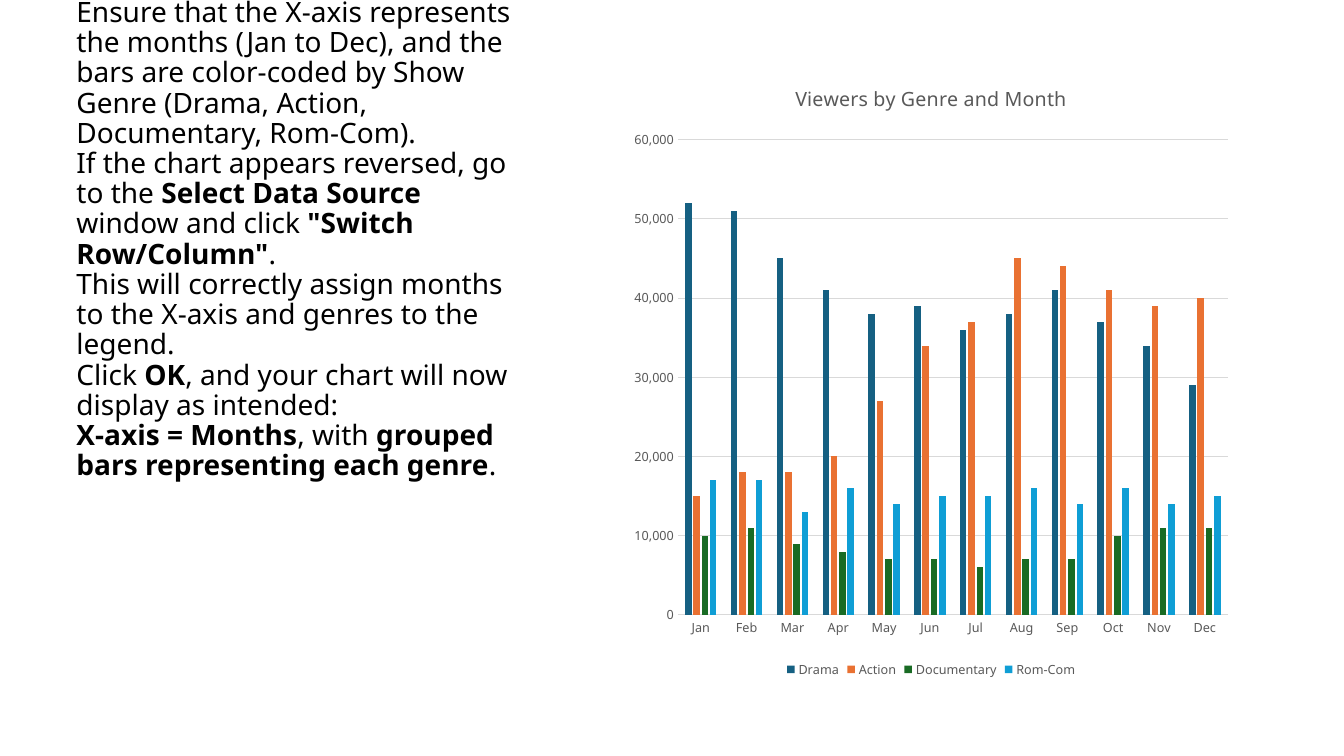
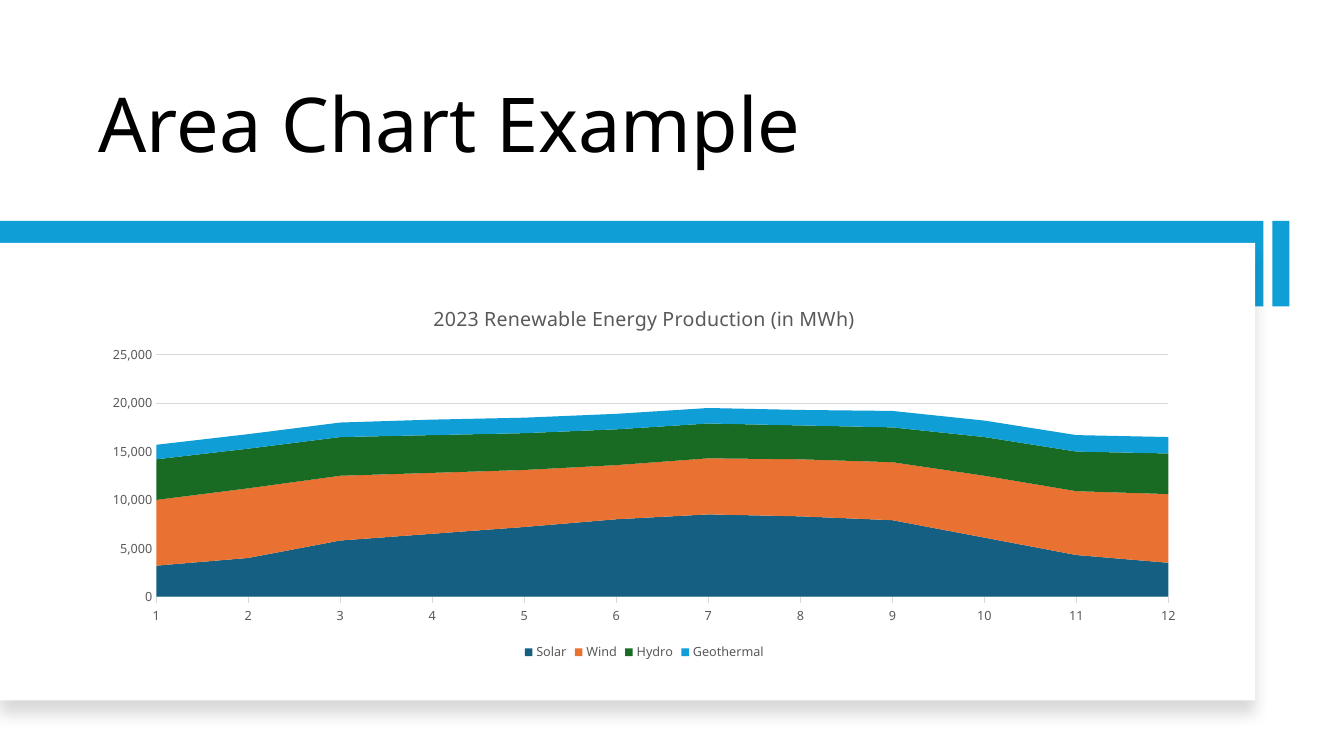
"""Build two slides that show a column chart and a stacked area chart."""
from dataclasses import dataclass

from lxml import etree
from pptx import Presentation
from pptx.chart.data import CategoryChartData
from pptx.dml.color import RGBColor
from pptx.enum.chart import XL_CHART_TYPE, XL_LEGEND_POSITION, XL_TICK_MARK
from pptx.enum.shapes import MSO_SHAPE
from pptx.enum.text import MSO_ANCHOR
from pptx.oxml.ns import qn
from pptx.util import Pt

COLUMN = XL_CHART_TYPE.COLUMN_CLUSTERED
AREA = XL_CHART_TYPE.AREA_STACKED
BELOW = XL_LEGEND_POSITION.BOTTOM
NO_TICK, OUT_TICK = XL_TICK_MARK.NONE, XL_TICK_MARK.OUTSIDE
RECT = MSO_SHAPE.RECTANGLE
BOTTOM = MSO_ANCHOR.BOTTOM
SCALE = 9144


@dataclass(frozen=True)
class Theme:
    font: str = "Noto Sans"
    ink: str = "000000"
    paper: str = "FFFFFF"
    muted: str = "595959"
    rule: str = "D9D9D9"
    accent: str = "0F9ED5"
    fills: tuple = ("156082", "E97132", "196B24", "0F9ED5")
    head: int = 54
    body: int = 20
    title: int = 14
    base: int = 10
    label: int = 9
    hair: float = 0.75


def px(*sizes):
    return [size * SCALE for size in sizes]


class Deck:
    def __init__(self, theme):
        self.theme = theme
        self.show = Presentation()
        self.show.slide_width, self.show.slide_height = px(1333, 750)
        self.slide = None

    def page(self):
        self.slide = self.show.slides.add_slide(self.show.slide_layouts[6])
        self.slide.background.fill.solid()
        self.slide.background.fill.fore_color.rgb = RGBColor.from_string(self.theme.paper)

    def style(self, font, size, color, bold=False):
        font.name, font.size, font.bold = self.theme.font, Pt(size), bold
        font.color.rgb = RGBColor.from_string(color)

    def text(self, box, size, lines):
        frame = self.slide.shapes.add_textbox(*px(*box)).text_frame
        frame.word_wrap = True
        frame.vertical_anchor = BOTTOM
        para = frame.paragraphs[0]
        para.line_spacing = 0.9
        for row, line in enumerate(lines):
            if row:
                para.add_line_break()
            for words, bold in line:
                run = para.add_run()
                run.text = words
                self.style(run.font, size, self.theme.ink, bold)

    def rect(self, box, color, shade=False):
        shape = self.slide.shapes.add_shape(RECT, *px(*box))
        shape.shadow.inherit = False
        shape.fill.solid()
        shape.fill.fore_color.rgb = RGBColor.from_string(color)
        shape.line.fill.background()
        if shade:
            glow = etree.SubElement(
                shape.element.spPr.find(qn("a:effectLst")), qn("a:outerShdw"),
                blurRad=str(Pt(11)), dist=str(Pt(10)), dir="5400000",
                algn="t", rotWithShape="0")
            tone = etree.SubElement(glow, qn("a:srgbClr"), val=self.theme.ink)
            etree.SubElement(tone, qn("a:alpha"), val="15000")

    def rule(self, line):
        line.width = Pt(self.theme.hair)
        line.color.rgb = RGBColor.from_string(self.theme.rule)

    def chart(self, kind, box, title, cats, rows, top, step, tick=NO_TICK):
        theme = self.theme
        data = CategoryChartData(number_format="#,##0")
        data.categories = cats
        for name, vals in rows.items():
            data.add_series(name, vals)
        chart = self.slide.shapes.add_chart(kind, *px(*box), data).chart
        self.style(chart.font, theme.base, theme.ink)

        chart.has_title = True
        run = chart.chart_title.text_frame.paragraphs[0].add_run()
        run.text = title
        self.style(run.font, theme.title, theme.muted)
        chart.chart_title.include_text_frame = True
        chart.has_legend = True
        chart.legend.position = BELOW
        chart.legend.include_in_layout = False
        self.style(chart.legend.font, theme.label, theme.muted)

        months, scale = chart.category_axis, chart.value_axis
        for axis in (months, scale):
            axis.minor_tick_mark = NO_TICK
            self.style(axis.tick_labels.font, theme.label, theme.muted)
        months.has_major_gridlines = False
        months.major_tick_mark = tick
        self.rule(months.format.line)
        scale.major_tick_mark = NO_TICK
        scale.minimum_scale, scale.maximum_scale = 0, top
        scale.major_unit = step
        scale.format.line.fill.background()
        scale.has_major_gridlines = True
        self.rule(scale.major_gridlines.format.line)
        scale.tick_labels.number_format = "#,##0"
        scale.tick_labels.number_format_is_linked = False

        plot = chart.plots[0]
        plot.vary_by_categories = False
        if kind == COLUMN:
            plot.gap_width, plot.overlap = 219, -27
        else:
            for cross in chart.element.iter(qn("c:crossBetween")):
                cross.set("val", "midCat")
        for item, color in zip(plot.series, theme.fills):
            item.format.fill.solid()
            item.format.fill.fore_color.rgb = RGBColor.from_string(color)


STEPS = [
    [("Ensure that the X-axis represents the months (Jan to Dec), and the bars "
      "are color-coded by Show Genre (Drama, Action, Documentary, Rom-Com).", False)],
    [("If the chart appears reversed, go to the ", False), ("Select Data Source", True),
     (" window and click ", False), ('"Switch Row/Column"', True), (".", False)],
    [("This will correctly assign months to the X-axis and genres to the legend.", False)],
    [("Click ", False), ("OK", True),
     (", and your chart will now display as intended:", False)],
    [("X-axis = Months", True), (", with ", False),
     ("grouped bars representing each genre", True), (".", False)],
]
MONTHS = "Jan Feb Mar Apr May Jun Jul Aug Sep Oct Nov Dec".split()
VIEWS = {
    "Drama": (52000, 51000, 45000, 41000, 38000, 39000,
              36000, 38000, 41000, 37000, 34000, 29000),
    "Action": (15000, 18000, 18000, 20000, 27000, 34000,
               37000, 45000, 44000, 41000, 39000, 40000),
    "Documentary": (10000, 11000, 9000, 8000, 7000, 7000,
                    6000, 7000, 7000, 10000, 11000, 11000),
    "Rom-Com": (17000, 17000, 13000, 16000, 14000, 15000,
                15000, 16000, 14000, 16000, 14000, 15000),
}
POWER = {
    "Solar": (3200, 4000, 5800, 6500, 7200, 8000, 8500, 8300, 7900, 6100, 4300, 3500),
    "Wind": (6800, 7200, 6700, 6300, 5900, 5600, 5800, 5900, 6000, 6400, 6600, 7100),
    "Hydro": (4200, 4100, 4000, 3900, 3800, 3700, 3600, 3500, 3600, 4000, 4100, 4200),
    "Geothermal": (1500, 1500, 1500, 1600, 1600, 1600,
                   1600, 1600, 1700, 1700, 1700, 1700),
}


def main():
    theme = Theme()
    deck = Deck(theme)

    deck.page()
    deck.text((66, 74, 456, 409), theme.body, STEPS)
    deck.chart(COLUMN, (617, 61, 613, 616), "Viewers by Genre and Month",
               MONTHS, VIEWS, 60000, 10000)

    deck.page()
    deck.text((88, 42, 1010, 130), theme.head, [[("Area Chart Example", False)]])
    deck.rect((1262, 219, 17, 85), theme.accent)
    deck.rect((0, 219, 1253, 85), theme.accent)
    deck.rect((0, 241, 1245, 454), theme.paper, shade=True)
    deck.chart(AREA, (90, 284, 1098, 376), "2023 Renewable Energy Production (in MWh)",
               [str(month) for month in range(1, 13)], POWER, 25000, 5000, OUT_TICK)

    deck.show.save("out.pptx")


if __name__ == "__main__":
    main()
